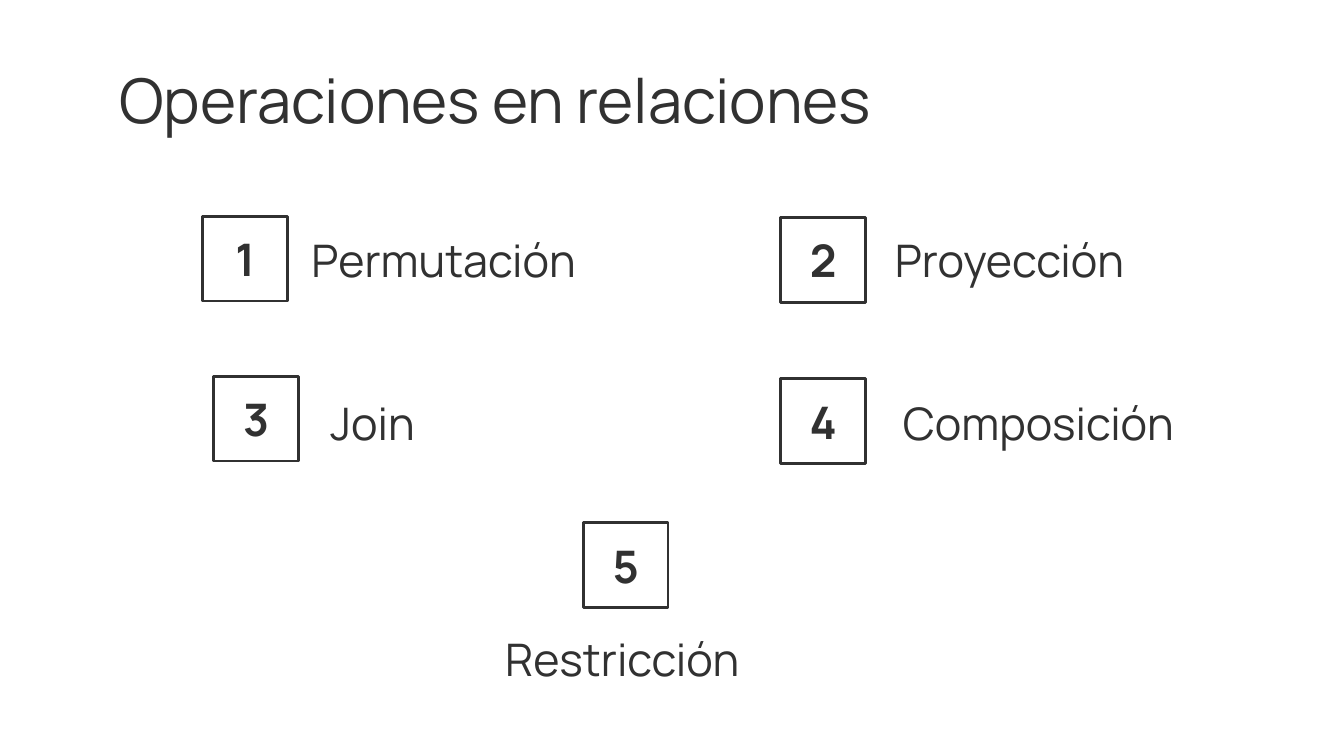
from pptx import Presentation
from pptx import util as u
from pptx.dml.color import RGBColor
from pptx.enum import shapes, text

COLORS = {"ink": "313131", "paper": "FFFFFF"}
FONT = "Manrope"
INSET = u.Pt(7.2)
BOX_SIDE = 45.4
LABEL_HEIGHT = 41.8

deck = Presentation()
deck.slide_width = u.Pt(720)
deck.slide_height = u.Pt(405)
slide = deck.slides.add_slide(deck.slide_layouts[6])
slide.background.fill.solid()
slide.background.fill.fore_color.rgb = RGBColor.from_string(COLORS["paper"])


def write(holder, words, size, bold=False, align=text.PP_ALIGN.LEFT):
    frame = holder.text_frame
    frame.word_wrap = True
    frame.vertical_anchor = text.MSO_ANCHOR.MIDDLE
    frame.margin_left = frame.margin_right = INSET
    frame.margin_top = frame.margin_bottom = INSET
    paragraph = frame.paragraphs[0]
    paragraph.alignment = align
    run = paragraph.add_run()
    run.text = words
    run.font.name = FONT
    run.font.size = u.Pt(size)
    run.font.bold = bold
    run.font.color.rgb = RGBColor.from_string(COLORS["ink"])


# Heading
heading = slide.shapes.add_textbox(u.Pt(56.9), u.Pt(30.2), u.Pt(499.7), u.Pt(45.4))
write(heading, "Operaciones en relaciones", 33)

# Operations: name, number box left and top, label left, top and width
operations = [
    ("Permutación", 108.7, 115.9, 159.8, 118.1, 213.8),
    ("Proyección", 418.3, 116.6, 472.3, 118.1, 151.2),
    ("Join", 114.5, 201.6, 169.9, 205.2, 151.2),
    ("Composición", 418.3, 203, 476.6, 205.2, 194.4),
    ("Restricción", 312.5, 280.1, 263.5, 331.9, 160.6),
]
for number, (name, box_x, box_y, label_x, label_y, label_w) in enumerate(operations, 1):
    # Numbered square
    square = slide.shapes.add_shape(
        shapes.MSO_SHAPE.RECTANGLE,
        u.Pt(box_x), u.Pt(box_y), u.Pt(BOX_SIDE), u.Pt(BOX_SIDE))
    square.shadow.inherit = False
    square.fill.background()
    square.line.color.rgb = RGBColor.from_string(COLORS["ink"])
    square.line.width = u.Pt(1.5)
    write(square, str(number), 24, bold=True, align=text.PP_ALIGN.CENTER)

    # Operation name
    label = slide.shapes.add_textbox(
        u.Pt(label_x), u.Pt(label_y), u.Pt(label_w), u.Pt(LABEL_HEIGHT))
    write(label, name, 24)

deck.save("out.pptx")
